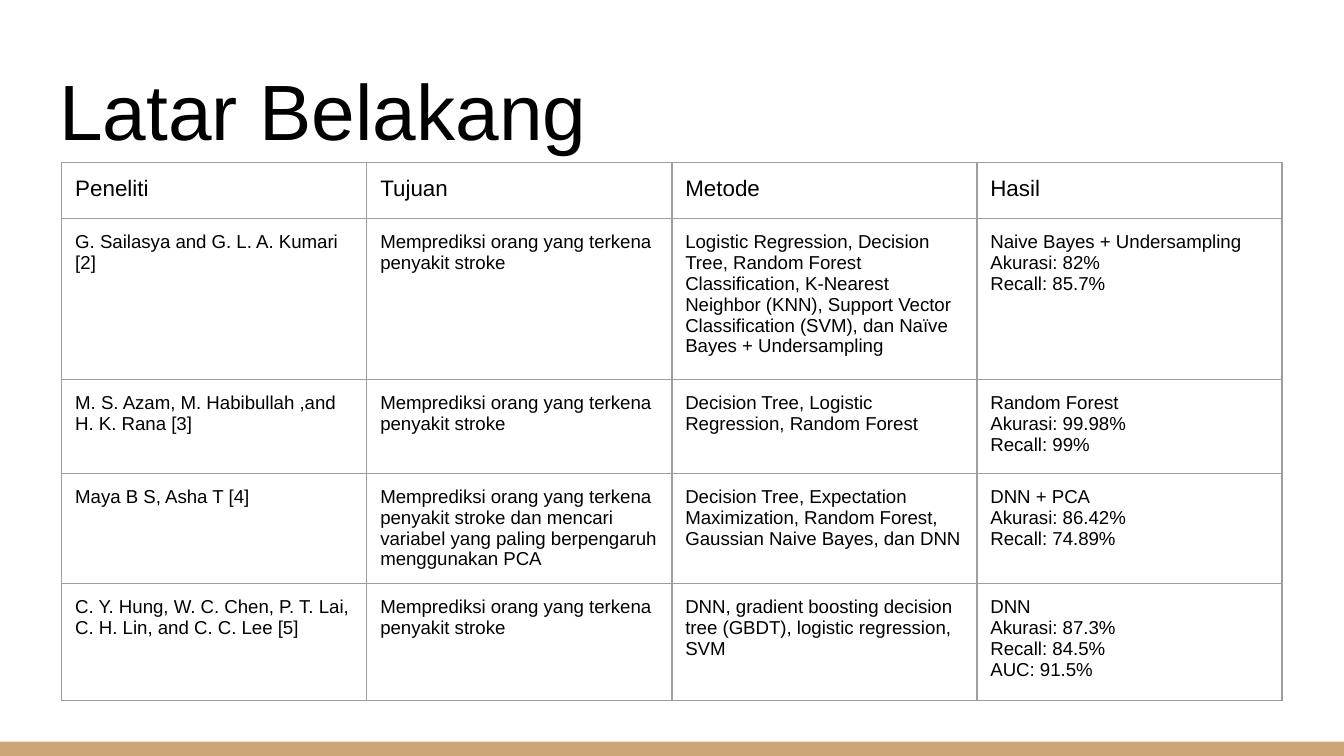
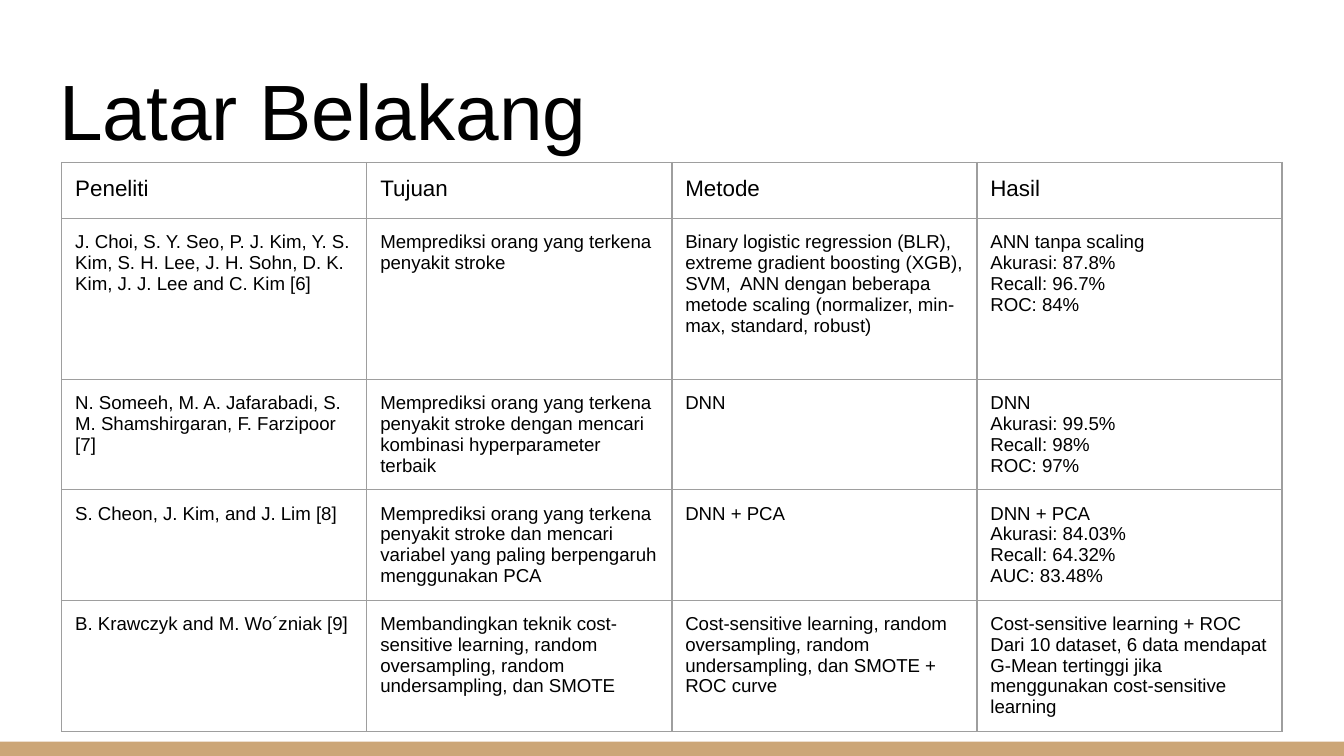
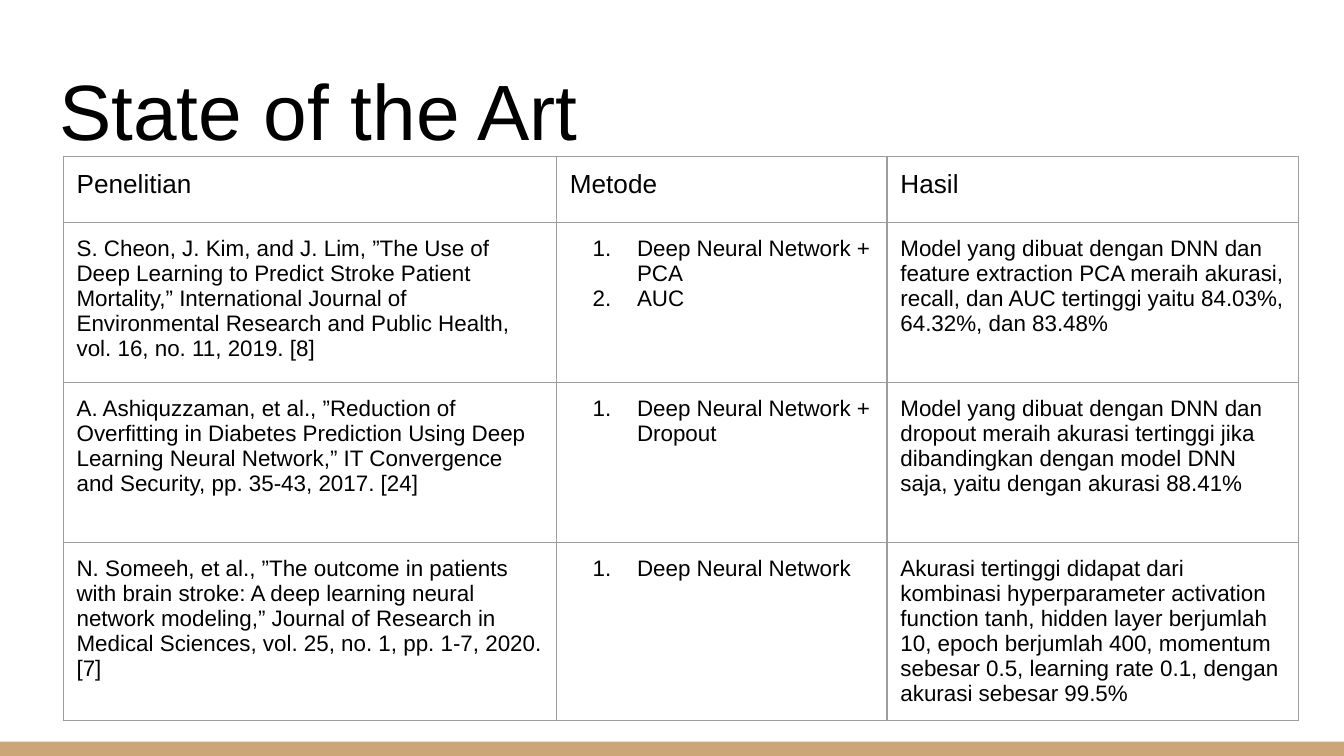
from lxml import etree
from pptx import Presentation
from pptx.dml.color import RGBColor
from pptx.enum.shapes import MSO_SHAPE
from pptx.enum.text import MSO_ANCHOR, MSO_AUTO_SIZE, PP_ALIGN
from pptx.oxml.ns import qn
from pptx.util import Inches, Pt

RECTANGLE = MSO_SHAPE.RECTANGLE
LEFT = PP_ALIGN.LEFT
TOP, BOTTOM = MSO_ANCHOR.TOP, MSO_ANCHOR.BOTTOM
NO_AUTO_SIZE = MSO_AUTO_SIZE.NONE
TITLE_ONLY = 5

FONT = "Arial"
INK, BAND, RULE = "000000", "CCA677", "9E9E9E"
INSET = Inches(0.1)
RULE_WIDTH = Pt(0.75)


def color(hex_code):
    return RGBColor.from_string(hex_code)


class Deck:
    """Shared style and the current slide; lengths are percent of the slide."""

    def __init__(self):
        self.presentation = Presentation()
        self.presentation.slide_width = Inches(10)
        self.presentation.slide_height = Inches(5.625)
        self.slide = None

    def across(self, percent):
        return round(self.presentation.slide_width * percent / 100)

    def down(self, percent):
        return round(self.presentation.slide_height * percent / 100)

    def box(self, left, top, width, height):
        return self.across(left), self.down(top), self.across(width), self.down(height)

    def add_slide(self, title):
        layout = self.presentation.slide_layouts[TITLE_ONLY]
        self.slide = self.presentation.slides.add_slide(layout)
        self.add_band()
        self.set_title(title)

    def add_band(self):
        band = self.slide.shapes.add_shape(RECTANGLE, *self.box(0, 98.1, 100, 1.9))
        band.shadow.inherit = False
        band.fill.solid()
        band.fill.fore_color.rgb = color(BAND)
        band.line.fill.background()

    def set_title(self, text):
        shape = self.slide.shapes.title
        shape.left, shape.top, shape.width, shape.height = self.box(3.4, 6.2, 93.2, 16.2)
        text_frame = shape.text_frame
        text_frame.text = text
        text_frame.auto_size = NO_AUTO_SIZE
        text_frame.vertical_anchor = BOTTOM
        self.set_insets(text_frame)
        self.format_text(text_frame, 42)

    def set_insets(self, target):
        target.margin_left = target.margin_right = INSET
        target.margin_top = target.margin_bottom = INSET

    def format_text(self, text_frame, size):
        for paragraph in text_frame.paragraphs:
            paragraph.alignment = LEFT
            for run in paragraph.runs:
                run.font.name = FONT
                run.font.size = Pt(size)
                run.font.color.rgb = color(INK)

    def add_table(self, left, top, widths, heights, rows, header_size, body_size):
        """Rows hold text, or a list of strings for a numbered list."""
        frame = self.slide.shapes.add_table(
            len(rows), len(widths), *self.box(left, top, sum(widths), sum(heights)))
        table = frame.table
        table.first_row = table.horz_banding = False
        for column, width in zip(table.columns, widths):
            column.width = self.across(width)
        for row, height in zip(table.rows, heights):
            row.height = self.down(height)
        for row_index, row in enumerate(rows):
            size = body_size if row_index else header_size
            for column_index, content in enumerate(row):
                self.fill_cell(table.cell(row_index, column_index), content, size)

    def fill_cell(self, cell, content, size):
        numbered = isinstance(content, list)
        cell.text_frame.text = "\n".join(content) if numbered else content
        if numbered:
            for paragraph in cell.text_frame.paragraphs:
                self.number(paragraph)
        cell.vertical_anchor = TOP
        self.set_insets(cell)
        self.format_text(cell.text_frame, size)
        self.add_borders(cell)
        cell.fill.background()

    def number(self, paragraph):
        properties = paragraph._p.get_or_add_pPr()
        properties.set("marL", str(Inches(0.5)))
        properties.set("indent", str(-Inches(0.33)))
        bullet_color = etree.SubElement(properties, qn("a:buClr"))
        etree.SubElement(bullet_color, qn("a:srgbClr"), val=INK)
        etree.SubElement(properties, qn("a:buFont"), typeface=FONT)
        etree.SubElement(properties, qn("a:buAutoNum"), type="arabicPeriod")

    def add_borders(self, cell):
        properties = cell._tc.get_or_add_tcPr()
        for side in ("a:lnL", "a:lnR", "a:lnT", "a:lnB"):
            line = etree.SubElement(properties, qn(side), w=str(RULE_WIDTH))
            fill = etree.SubElement(line, qn("a:solidFill"))
            etree.SubElement(fill, qn("a:srgbClr"), val=RULE)

    def save(self):
        self.presentation.save("out.pptx")


# Texts that several studies share
PREDICT = "Memprediksi orang yang terkena penyakit stroke"
PREDICT_PCA = PREDICT + " dan mencari variabel yang paling berpengaruh menggunakan PCA"

STUDY_HEADER = ("Peneliti", "Tujuan", "Metode", "Hasil")
STUDY_PAGES = [
    [
        ("G. Sailasya and G. L. A. Kumari [2]", PREDICT,
         "Logistic Regression, Decision Tree, Random Forest Classification, "
         "K-Nearest Neighbor (KNN), Support Vector Classification (SVM), "
         "dan Naïve Bayes + Undersampling",
         "Naive Bayes + Undersampling\nAkurasi: 82%\nRecall: 85.7%"),
        ("M. S. Azam, M. Habibullah ,and H. K. Rana [3]", PREDICT,
         "Decision Tree, Logistic Regression, Random Forest",
         "Random Forest\nAkurasi: 99.98%\nRecall: 99%"),
        ("Maya B S, Asha T [4]", PREDICT_PCA,
         "Decision Tree, Expectation Maximization, Random Forest, "
         "Gaussian Naive Bayes, dan DNN",
         "DNN + PCA\nAkurasi: 86.42%\nRecall: 74.89%"),
        ("C. Y. Hung, W. C. Chen, P. T. Lai, C. H. Lin, and C. C. Lee [5]", PREDICT,
         "DNN, gradient boosting decision tree (GBDT), logistic regression, SVM",
         "DNN\nAkurasi: 87.3%\nRecall: 84.5%\nAUC: 91.5%"),
    ],
    [
        ("J. Choi, S. Y. Seo, P. J. Kim, Y. S. Kim, S. H. Lee, J. H. Sohn, "
         "D. K. Kim, J. J. Lee and C. Kim [6]", PREDICT,
         "Binary logistic regression (BLR), extreme gradient boosting (XGB), "
         "SVM,  ANN dengan beberapa metode scaling "
         "(normalizer, min-max, standard, robust)",
         "ANN tanpa scaling\nAkurasi: 87.8%\nRecall: 96.7%\nROC: 84%"),
        ("N. Someeh, M. A. Jafarabadi, S. M. Shamshirgaran, F. Farzipoor [7]",
         PREDICT + " dengan mencari kombinasi hyperparameter terbaik",
         "DNN", "DNN\nAkurasi: 99.5%\nRecall: 98%\nROC: 97%"),
        ("S. Cheon, J. Kim, and J. Lim [8]", PREDICT_PCA,
         "DNN + PCA", "DNN + PCA\nAkurasi: 84.03%\nRecall: 64.32%\nAUC: 83.48%"),
        ("B. Krawczyk and M. Wo´zniak [9]",
         "Membandingkan teknik cost-sensitive learning, random oversampling, "
         "random undersampling, dan SMOTE",
         "Cost-sensitive learning, random oversampling, random undersampling, "
         "dan SMOTE + ROC curve",
         "Cost-sensitive learning + ROC\nDari 10 dataset, 6 data mendapat G-Mean "
         "tertinggi jika menggunakan cost-sensitive learning"),
    ],
]

STATE_OF_THE_ART = [
    ("Penelitian", "Metode", "Hasil"),
    ("S. Cheon, J. Kim, and J. Lim, ”The Use of Deep Learning to Predict Stroke "
     "Patient Mortality,” International Journal of Environmental Research and "
     "Public Health, vol. 16, no. 11, 2019. [8]",
     ["Deep Neural Network + PCA", "AUC"],
     "Model yang dibuat dengan DNN dan feature extraction PCA meraih akurasi, "
     "recall, dan AUC tertinggi yaitu 84.03%, 64.32%, dan 83.48%"),
    ("A. Ashiquzzaman, et al., ”Reduction of Overfitting in Diabetes Prediction "
     "Using Deep Learning Neural Network,” IT Convergence and Security, "
     "pp. 35-43, 2017. [24]",
     ["Deep Neural Network + Dropout"],
     "Model yang dibuat dengan DNN dan dropout meraih akurasi tertinggi jika "
     "dibandingkan dengan model DNN saja, yaitu dengan akurasi 88.41%"),
    ("N. Someeh, et al., ”The outcome in patients with brain stroke: A deep "
     "learning neural network modeling,” Journal of Research in Medical Sciences, "
     "vol. 25, no. 1, pp. 1-7, 2020. [7]",
     ["Deep Neural Network"],
     "Akurasi tertinggi didapat dari kombinasi hyperparameter activation function "
     "tanh, hidden layer berjumlah 10, epoch berjumlah 400, momentum sebesar 0.5, "
     "learning rate 0.1, dengan akurasi sebesar 99.5%"),
]


def main():
    deck = Deck()

    # Background: earlier studies
    for studies in STUDY_PAGES:
        deck.add_slide("Latar Belakang")
        deck.add_table(4.6, 21.5, [22.7] * 4, [7.4, 21.3, 12.4, 7.4, 15.5],
                       [STUDY_HEADER, *studies], 12, 10)

    # State of the art
    deck.add_slide("State of the Art")
    deck.add_table(4.7, 20.7, [36.7, 24.6, 30.6], [8.7] + [21.2] * 3,
                   STATE_OF_THE_ART, 14, 12)

    deck.save()


if __name__ == "__main__":
    main()
